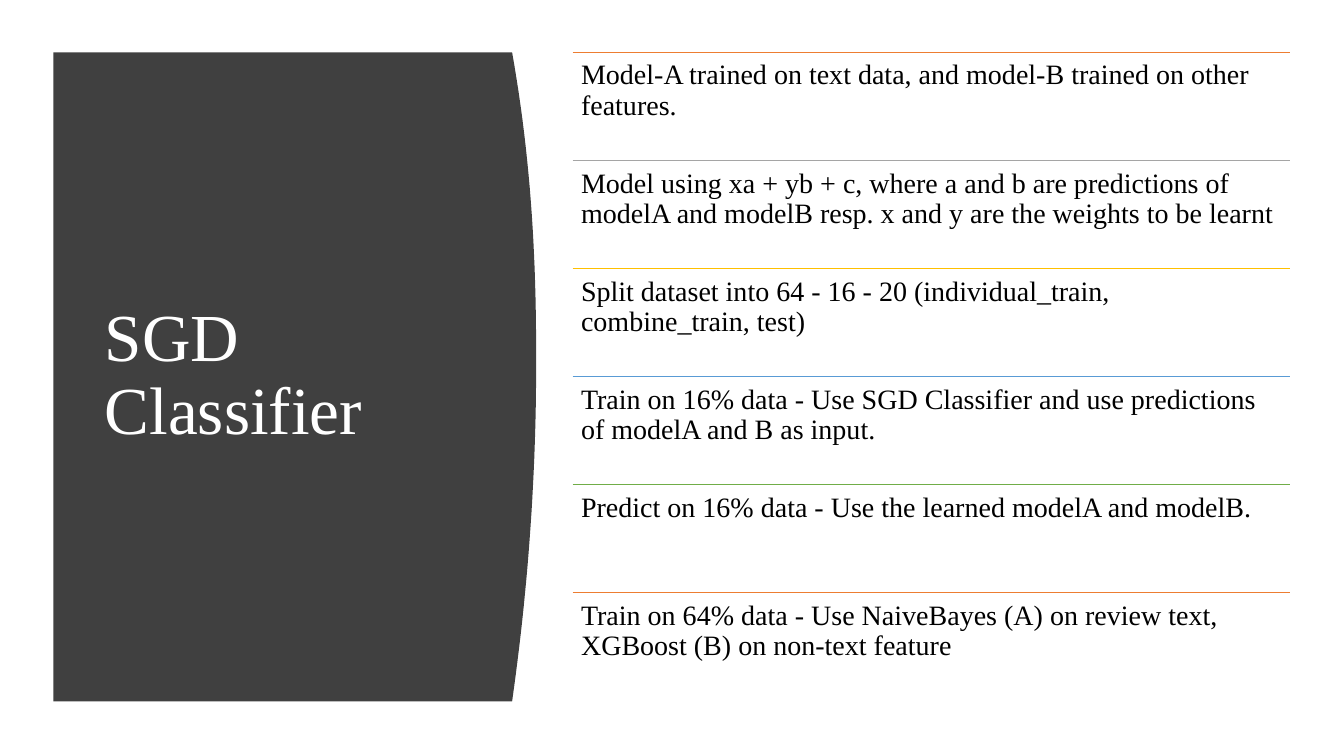
from dataclasses import dataclass

from lxml import etree
from pptx import Presentation
from pptx.dml.color import RGBColor
from pptx.enum.shapes import MSO_CONNECTOR
from pptx.enum.text import MSO_ANCHOR, MSO_AUTO_SIZE, PP_ALIGN
from pptx.oxml.ns import qn
from pptx.util import Pt

STRAIGHT = MSO_CONNECTOR.STRAIGHT
TOP, MIDDLE = MSO_ANCHOR.TOP, MSO_ANCHOR.MIDDLE
NO_FIT = MSO_AUTO_SIZE.NONE
LEFT = PP_ALIGN.LEFT
TITLE_ONLY = 5


@dataclass(frozen=True)
class Theme:
    font: str = "Times New Roman"
    title_size: float = 48
    body_size: float = 20
    line_spacing: float = 0.9
    rule_width: float = 1
    panel: str = "404040"
    title: str = "FFFFFF"
    body: str = "000000"
    orange: str = "ED7D31"
    gray: str = "A5A5A5"
    gold: str = "FFC000"
    blue: str = "599BD5"
    green: str = "70AD47"


@dataclass(frozen=True)
class Step:
    text: str
    color: str


THEME = Theme()
STEPS = [
    Step("Model-A trained on text data, and model-B trained on other features.", THEME.orange),
    Step("Model using xa + yb + c, where a and b are predictions of modelA and "
         "modelB resp. x and y are the weights to be learnt", THEME.gray),
    Step("Split dataset into 64 - 16 - 20 (individual_train, combine_train, test)", THEME.gold),
    Step("Train on 16% data - Use SGD Classifier and use predictions of modelA "
         "and B as input.", THEME.blue),
    Step("Predict on 16% data - Use the learned modelA and modelB.", THEME.green),
    Step("Train on 64% data - Use NaiveBayes (A) on review text, XGBoost (B) on "
         "non-text feature", THEME.orange),
]

# Layout in points
PANEL_LEFT, PANEL_TOP, PANEL_BOTTOM = 38.2, 37.4, 501.1
PANEL_CORNER, PANEL_BULGE, PANEL_APEX = 365.8, 383, 259.2
CURVE_SEGMENTS = 48
LIST_LEFT, LIST_WIDTH = 409, 512.6
ROW_HEIGHT = 77.2


def format_text(tf, text: str, size: float, color: str, anchor, inset_x: float, inset_y: float) -> None:
    tf.text = text
    tf.word_wrap = True
    tf.auto_size = NO_FIT
    tf.vertical_anchor = anchor
    tf.margin_left = tf.margin_right = Pt(inset_x)
    tf.margin_top = tf.margin_bottom = Pt(inset_y)
    p = tf.paragraphs[0]
    p.alignment = LEFT
    p.line_spacing = THEME.line_spacing
    p.space_before = Pt(0)
    font = p.runs[0].font
    font.name, font.size = THEME.font, Pt(size)
    font.color.rgb = RGBColor.from_string(color)


def panel_edge(y: float) -> float:
    """Right edge of the panel at height y, flatter above the apex than below."""
    if y < PANEL_APEX:
        bend = ((PANEL_APEX - y) / (PANEL_APEX - PANEL_TOP)) ** 2.3
    else:
        bend = ((y - PANEL_APEX) / (PANEL_BOTTOM - PANEL_APEX)) ** 2
    return PANEL_BULGE - (PANEL_BULGE - PANEL_CORNER) * bend


def add_panel(s):
    step = (PANEL_BOTTOM - PANEL_TOP) / CURVE_SEGMENTS
    heights = [PANEL_TOP + i * step for i in range(CURVE_SEGMENTS + 1)]
    outline = [(panel_edge(y), y) for y in heights] + [(PANEL_LEFT, PANEL_BOTTOM)]
    builder = s.shapes.build_freeform(Pt(PANEL_LEFT), Pt(PANEL_TOP))
    builder.add_line_segments([(Pt(x), Pt(y)) for x, y in outline], close=True)
    sp = builder.convert_to_shape()
    sp.shadow.inherit = False
    sp.fill.solid()
    sp.fill.fore_color.rgb = RGBColor.from_string(THEME.panel)
    sp.line.fill.background()
    return sp


def add_step(shapes, step: Step, top: float) -> None:
    rule = shapes.add_connector(STRAIGHT, Pt(LIST_LEFT), Pt(top), Pt(LIST_LEFT + LIST_WIDTH), Pt(top))
    rule.line.color.rgb = RGBColor.from_string(step.color)
    rule.line.width = Pt(THEME.rule_width)
    etree.SubElement(rule.element.spPr, qn("a:effectLst"))
    sp = shapes.add_textbox(Pt(LIST_LEFT), Pt(top), Pt(LIST_WIDTH), Pt(ROW_HEIGHT))
    format_text(sp.text_frame, step.text, THEME.body_size, THEME.body, TOP, 6, 6)


def main() -> None:
    prs = Presentation()
    prs.slide_width, prs.slide_height = Pt(960), Pt(540)
    s = prs.slides.add_slide(prs.slide_layouts[TITLE_ONLY])

    # Title over the curved panel
    title = s.shapes.title
    title.left, title.top, title.width, title.height = Pt(67.7), Pt(79.9), Pt(269.3), Pt(377.3)
    format_text(title.text_frame, "SGD Classifier", THEME.title_size, THEME.title, MIDDLE, 7.2, 3.6)
    title.element.addprevious(add_panel(s).element)

    # Ruled list of steps
    group = s.shapes.add_group_shape()
    for i, step in enumerate(STEPS):
        add_step(group.shapes, step, PANEL_TOP + i * ROW_HEIGHT)

    prs.save("out.pptx")


if __name__ == "__main__":
    main()
